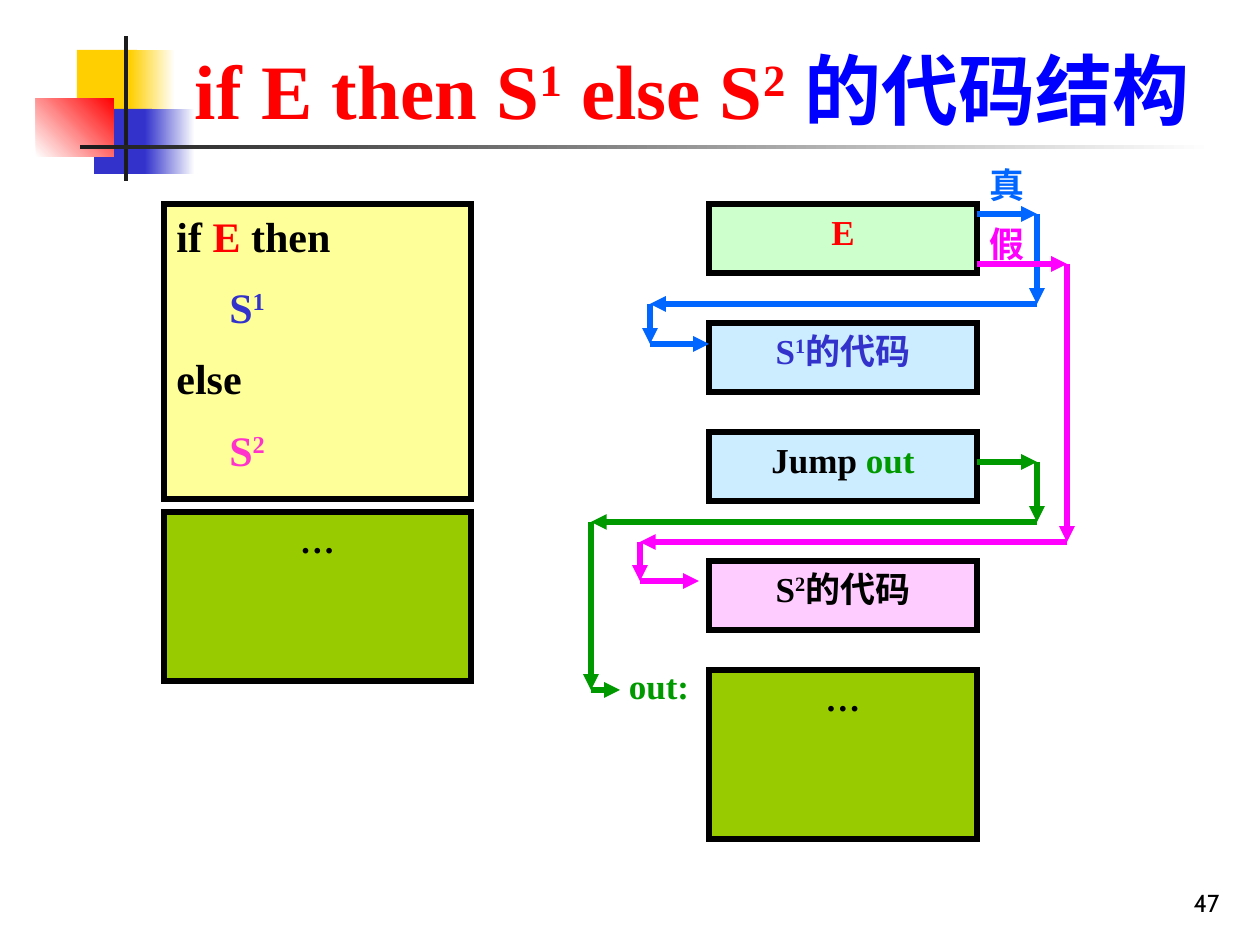
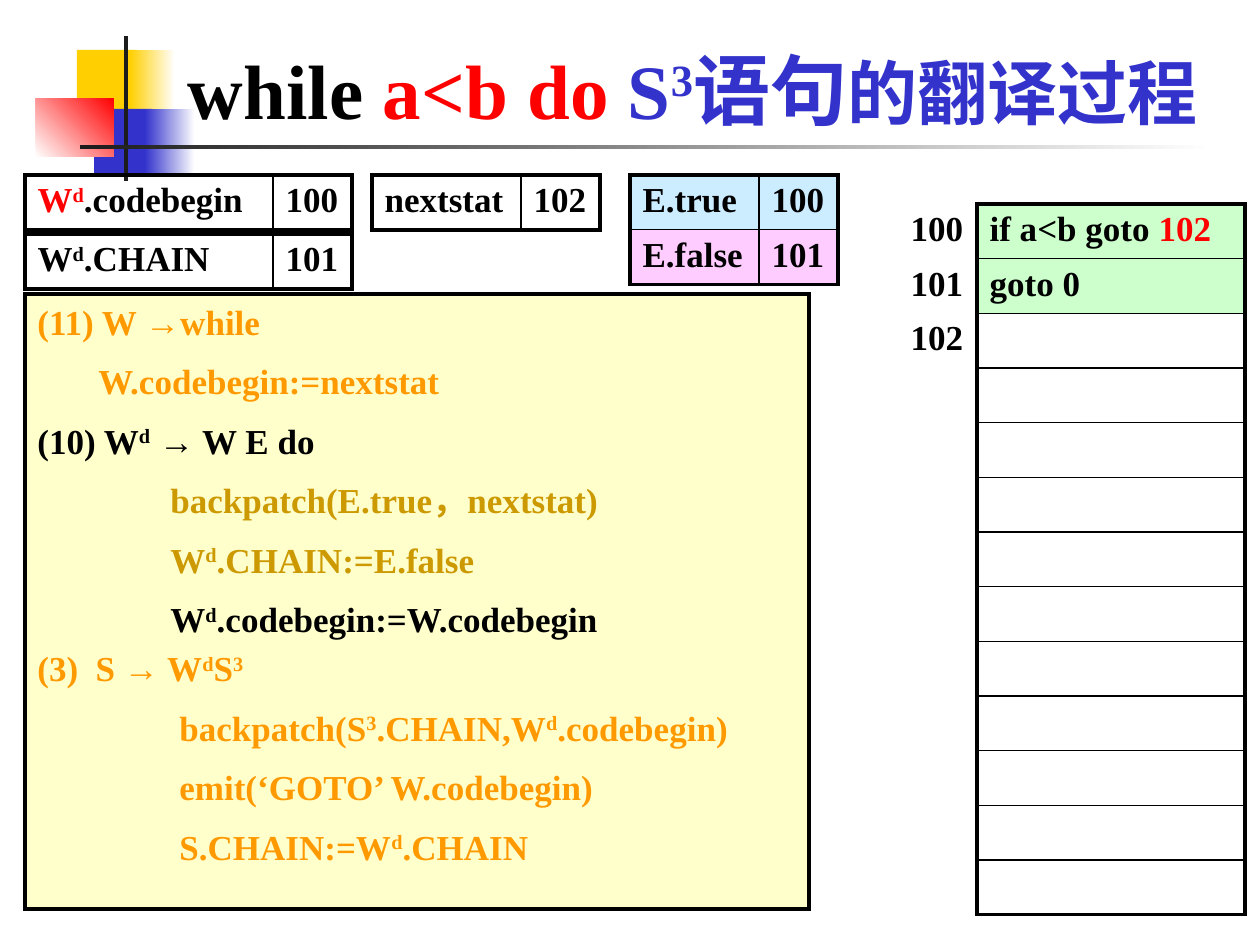
from itertools import pairwise

from lxml import etree
from pptx import Presentation
from pptx import util as u
from pptx.dml.color import RGBColor
from pptx.enum import shapes, text
from pptx.oxml.ns import qn

PX = 914400 / 126
INK = {
    "black": "000000", "white": "FFFFFF", "coal": "1C1C1C", "red": "FF0000",
    "gold": "FFCF01", "navy": "3333CC", "blue": "0000FF", "sky": "0066FF",
    "pink": "FF00FF", "rose": "FF33CC", "green": "009900", "lime": "99CC00",
    "mint": "CCFFCC", "ice": "CCECFF", "blush": "FFCCFF", "lemon": "FFFF99",
    "cream": "FFFFCC", "amber": "FF9900", "ochre": "CC9900",
}
SERIF = "Times New Roman"
TOP, MID, LOW = (text.MSO_ANCHOR.TOP, text.MSO_ANCHOR.MIDDLE,
                 text.MSO_ANCHOR.BOTTOM)
LEFT, MIDST, RIGHT = (text.PP_ALIGN.LEFT, text.PP_ALIGN.CENTER,
                      text.PP_ALIGN.RIGHT)


def px(*nums):
    return [u.Emu(round(n * PX)) for n in nums]


def rgb(name):
    return RGBColor.from_string(INK[name])


def style(obj, **vals):
    for key, val in vals.items():
        setattr(obj, key, val)


# ---- Text: a line is (runs, indent px, gap before as share of size) ----

def row(ink, words):
    return [([(ink, words)], 0, 0)]


def write(frame, lines, size=20, face=SERIF, bold=True, align=LEFT):
    """Fill a frame; the words between two ^ signs are raised."""
    for i, (runs, dent, gap) in enumerate(lines):
        para = frame.add_paragraph() if i else frame.paragraphs[0]
        style(para, alignment=align, space_before=u.Pt(gap * size if i else 0))
        if dent:
            para._p.get_or_add_pPr().set("marL", str(px(dent)[0]))
        for ink, words, *own in runs:
            for j, part in enumerate(words.split("^")):
                if not part:
                    continue
                run = para.add_run()
                run.text = part
                style(run.font, name=face, bold=bold,
                      size=u.Pt(own[0] if own else size))
                run.font.color.rgb = rgb(ink)
                if j % 2:
                    run._r.get_or_add_rPr().set("baseline", "30000")


def label(slide, box, lines, anchor=MID, wrap=False, **form):
    frame = slide.shapes.add_textbox(*px(*box)).text_frame
    style(frame, word_wrap=wrap, vertical_anchor=anchor)
    write(frame, lines, **form)


# ---- Shapes ----

def block(slide, box, *inks, angle=0):
    """A plain rectangle; two colours make a gradient."""
    shape = slide.shapes.add_shape(shapes.MSO_SHAPE.RECTANGLE, *px(*box))
    shape.shadow.inherit = False
    shape.line.fill.background()
    if len(inks) > 1:
        shape.fill.gradient()
        shape.fill.gradient_angle = angle
        for stop, ink in zip(shape.fill.gradient_stops, inks):
            stop.color.rgb = rgb(ink)
    else:
        shape.fill.solid()
        shape.fill.fore_color.rgb = rgb(inks[0])
    return shape


def panel(slide, box, ink, lines, width=3, **form):
    """A framed rectangle with text from its top and sharp corners."""
    shape = block(slide, box, ink)
    shape.line.color.rgb = rgb("black")
    shape.line.width = u.Pt(width)
    etree.SubElement(shape.line._get_or_add_ln(), qn("a:miter"), lim="800000")
    style(shape.text_frame, word_wrap=True, vertical_anchor=TOP)
    write(shape.text_frame, lines, **form)


def route(slide, x, y, ink, spots):
    """A chain of arrows through the spots, measured from x, y."""
    for (ax, ay), (bx, by) in pairwise(spots):
        line = slide.shapes.add_connector(
            shapes.MSO_CONNECTOR.STRAIGHT,
            *px(x + ax, y + ay, x + bx, y + by))
        line.line.color.rgb = rgb(ink)
        line.line.width = u.Pt(3)
        etree.SubElement(line.line._get_or_add_ln(), qn("a:tailEnd"),
                         type="triangle")
        etree.SubElement(line._element.spPr, qn("a:effectLst"))


# ---- Tables: outer edges thick, inner edges thin ----

def edge(cell, spot, side, width):
    line = etree.Element(qn("a:ln" + side), w=str(u.Pt(width)))
    if width:
        fill = etree.SubElement(line, qn("a:solidFill"))
        etree.SubElement(fill, qn("a:srgbClr"), val=INK["black"])
    else:
        etree.SubElement(line, qn("a:noFill"))
    cell._tc.get_or_add_tcPr().insert(spot, line)


def grid(slide, box, cols, rows, fills, bare=False):
    """rows hold lists of runs; bare leaves column one without a frame."""
    x, y, high = box
    count = len(rows)
    table = slide.shapes.add_table(
        count, len(cols), *px(x, y, sum(cols), high)).table
    style(table, first_row=False, horz_banding=False)
    for col, wide in zip(table.columns, px(*cols)):
        col.width = wide
    for r, runs in enumerate(rows):
        table.rows[r].height = px(high / count)[0]
        for c, item in enumerate(runs):
            cell = table.cell(r, c)
            if fills[r][c]:
                cell.fill.solid()
                cell.fill.fore_color.rgb = rgb(fills[r][c])
            else:
                cell.fill.background()
            if item:
                write(cell.text_frame, [(item, 0, 0)])
            mid = 2.25 if bare else 1
            sides = {"L": mid if c else 2.25, "R": 2.25 if c else mid,
                     "T": 1 if r else 2.25,
                     "B": 1 if r < count - 1 else 2.25}
            if bare and not c:
                sides.update(L=0, T=0, B=0)
            for spot, (side, width) in enumerate(sides.items()):
                edge(cell, spot, side, width)


# ---- Shared by both slides ----

def base(deck, title):
    slide = deck.slides.add_slide(deck.slide_layouts[6])
    # corner ornament and rule
    block(slide, (77, 50, 60, 66), "gold")
    block(slide, (130, 50, 45, 66), "gold", "white")
    block(slide, (94, 109, 58, 65), "navy")
    block(slide, (145, 109, 50, 65), "navy", "white")
    block(slide, (36, 98, 78, 59), "white", "red", angle=45)
    block(slide, (124, 36, 4, 145), "coal")
    block(slide, (80, 145, 1134, 4), "coal", "white")
    # title
    label(slide, (154, 45, 1077, 96), [(title, 0, 0)], LOW, True,
          size=44, align=MIDST)
    return slide


# ---- Slide with the code layout of if-then-else ----

def source(slide, x, y):
    panel(slide, (x, y, 307, 295), "lemon", [
        ([("black", "if "), ("red", "E"), ("black", " then")], 0, 0),
        ([("navy", "S^1^")], 53, .5),
        ([("black", "else")], 0, .5),
        ([("rose", "S^2^")], 53, .5),
    ], size=24)
    panel(slide, (x, y + 308, 307, 169), "lime", row("black", "…"),
          align=MIDST)


def layout(slide, x, y):
    wide = 268
    parts = [
        (0, 69, "mint", [("red", "E")]),
        (119, 69, "ice", [("navy", "S^1^的代码")]),
        (228, 69, "ice", [("black", "Jump "), ("green", "out")]),
        (357, 69, "blush", [("black", "S^2^的代码")]),
        (466, 169, "lime", [("black", "…")]),
    ]
    for top, high, ink, runs in parts:
        panel(slide, (x, y + top, wide, high), ink, [(runs, 0, 0)],
              align=MIDST)
    # jumps: true, false, end
    jumps = {
        "sky": (10, 328, 100, -59, 140, 0),
        "pink": (60, 358, 338, -69, 377, -10),
        "green": (258, 328, 318, -118, 486, -89),
    }
    for ink, (start, far, turn, near, stop, tip) in jumps.items():
        route(slide, x, y, ink, [
            (wide, start), (far, start), (far, turn),
            (near, turn), (near, stop), (tip, stop)])
    for box, ink, words in [
            ((wide, -49, 59, 59), "sky", "真"),
            ((wide, 10, 59, 59), "pink", "假"),
            ((-109, 447, 118, 69), "green", "out:")]:
        left, top, *size = box
        label(slide, (x + left, y + top, *size), row(ink, words),
              align=MIDST)


# ---- Slide with the translation of while-do ----

def rules(slide, box):
    steps = [
        ("amber", "(11) W →while", 0, 0),
        ("amber", "W.codebegin:=nextstat", 61, .5),
        ("black", "(10) W^d^ → W E do", 0, .5),
        ("ochre", "backpatch(E.true，nextstat)", 133, .5),
        ("ochre", "W^d^.CHAIN:=E.false", 133, .5),
        ("black", "W^d^.codebegin:=W.codebegin", 133, .5),
        ("amber", "(3)  S → W^d^S^3^", 0, .2),
        ("amber", "backpatch(S^3^.CHAIN,W^d^.codebegin)", 142, .5),
        ("amber", "emit(‘GOTO’ W.codebegin)", 142, .5),
        ("amber", "S.CHAIN:=W^d^.CHAIN", 142, .5),
    ]
    panel(slide, box, "cream",
          [([(ink, words)], dent, gap) for ink, words, dent, gap in steps],
          width=2.5)


def state(slide, x, y):
    """Tables of the current attribute values."""
    def pair(name, value):
        return [name, [("black", value)]]

    clear = [(None, None)]
    grid(slide, (x + 347, y, 55), (149, 79),
         [pair([("black", "nextstat")], "102")], clear)
    grid(slide, (x, y, 55), (248, 79),
         [pair([("red", "W^d^"), ("black", ".codebegin")], "100")], clear)
    grid(slide, (x + 605, y, 109), (129, 79),
         [pair([("black", "E.true")], "100"),
          pair([("black", "E.false")], "101")],
         [("ice", "ice"), ("blush", "blush")])
    grid(slide, (x, y + 59, 55), (248, 79),
         [pair([("black", "W^d^.CHAIN")], "101")], clear)


def code(slide, x, y):
    """Emitted instructions with their addresses."""
    rows = [
        [[("black", "100")], [("black", "if a<b goto "), ("red", "102")]],
        [[("black", "101")], [("black", "goto 0")]],
        [[("black", "102")], []],
    ] + [[[], []]] * 10
    fills = [("white", "mint")] * 2 + [("white", "white")] * 11
    grid(slide, (x, y, 711), (79, 268), rows, fills, bare=True)


def main():
    deck = Presentation()
    style(deck, slide_width=u.Inches(10), slide_height=u.Inches(7.5))

    slide = base(deck, [("red", "if E then S^1^ else S^2^ "),
                        ("blue", "的代码结构")])
    layout(slide, 709, 204)
    source(slide, 164, 204)
    label(slide, (970, 861, 262, 63), row("black", "47"), LOW, True,
          size=14, face="Cabin", bold=False, align=RIGHT)

    slide = base(deck, [("black", "while "), ("red", "a<b do"),
                        ("navy", " S^3^语句"), ("navy", "的翻译过程", 40)])
    code(slide, 898, 204)
    rules(slide, (25, 294, 784, 615))
    state(slide, 25, 175)

    deck.save("out.pptx")


if __name__ == "__main__":
    main()
